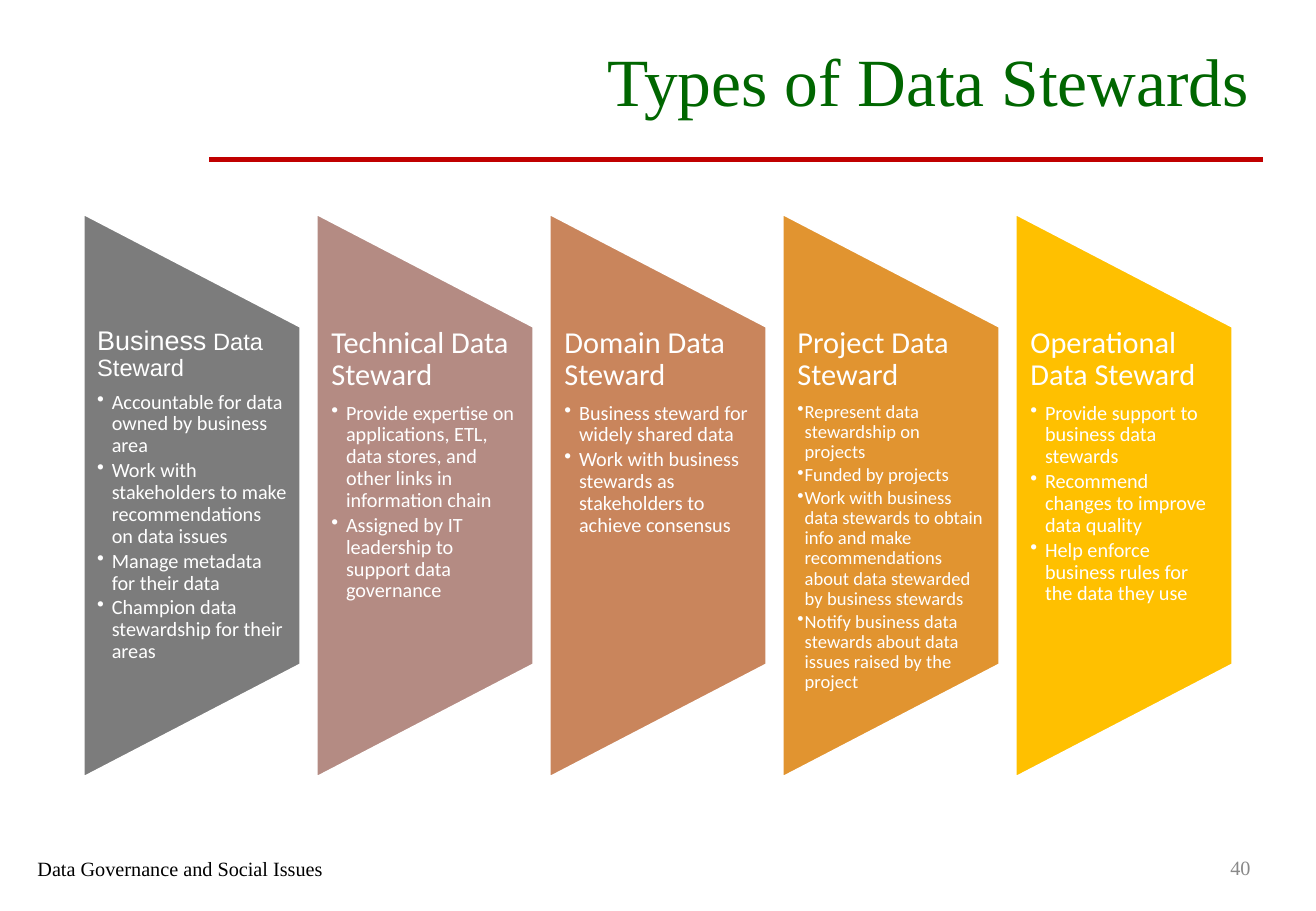
"""Build the slide on the five types of data stewards."""
from lxml import etree
from pptx import Presentation
from pptx import util as u
from pptx.dml.color import RGBColor
from pptx.enum import shapes, text
from pptx.oxml.ns import qn

THEME = {
    "title": {"size": u.Pt(40), "name": "Times New Roman", "color": "006600"},
    "number": {"size": u.Pt(12), "name": "Times New Roman", "color": "898989"},
    "footer": {"size": u.Pt(12), "name": "Times New Roman", "color": "000000"},
    "lead": {"size": u.Pt(16), "name": "Arial", "color": "FFFFFF"},
    "lead_small": {"size": u.Pt(14), "name": "Arial", "color": "FFFFFF"},
    "heading": {"size": u.Pt(18), "name": "Calibri", "color": "FFFFFF"},
    "bullet": {"size": u.Pt(12), "name": "Calibri", "color": "FFFFFF"},
    "bullet_small": {"size": u.Pt(11), "name": "Calibri", "color": "FFFFFF"},
    "rule": "C00000",
    "outline": "FFFFFF",
}

STEWARDS = [
    ("7C7C7C", [("Business", "lead"), (" Data Steward", "lead_small")], "bullet", 0.12, [
        "Accountable for data owned by business area",
        "Work with stakeholders to make recommendations on data issues",
        "Manage metadata for their data",
        "Champion data stewardship for their areas"]),
    ("B48B83", [("Technical Data Steward", "heading")], "bullet", 0.12, [
        "Provide expertise on applications, ETL, data stores, and other links in information chain",
        "Assigned by IT leadership to support data governance"]),
    ("C9855C", [("Domain Data Steward", "heading")], "bullet", 0.12, [
        "Business steward for widely shared data",
        "Work with business stewards as stakeholders to achieve consensus"]),
    ("E19430", [("Project Data Steward", "heading")], "bullet_small", 0.06, [
        "Represent data stewardship on projects",
        "Funded by projects",
        "Work with business data stewards to obtain info and make recommendations "
        "about data stewarded by business stewards",
        "Notify business data stewards about data issues raised by the project"]),
    ("FFC000", [("Operational Data Steward", "heading")], "bullet", 0.12, [
        "Provide support to business data stewards",
        "Recommend changes to improve data quality",
        "Help enforce business rules for the data they use"]),
]


def add_span(para, words, style):
    span = para.add_run()
    span.text = words
    for key, value in THEME[style].items():
        if key == "color":
            span.font.color.rgb = RGBColor.from_string(value)
        else:
            setattr(span.font, key, value)


def format_object(target, values):
    for key, value in values.items():
        setattr(target, key, value)


deck = Presentation()
format_object(deck, {"slide_width": u.Inches(10.83), "slide_height": u.Inches(7.5)})
page = deck.slides.add_slide(deck.slide_layouts[5])

rule = page.shapes.add_connector(
    shapes.MSO_CONNECTOR.STRAIGHT,
    u.Inches(10.39), u.Inches(1.31), u.Inches(1.72), u.Inches(1.31))
rule.line.color.rgb = RGBColor.from_string(THEME["rule"])
rule.line.width = u.Pt(3)
etree.SubElement(rule.line._get_or_add_ln().getparent(), qn("a:effectLst"))

title = page.shapes.title
number = page.shapes.add_textbox(0, 0, 0, 0)
footer = page.shapes.add_textbox(0, 0, 0, 0)
RIGHT, LEFT = text.PP_ALIGN.RIGHT, text.PP_ALIGN.LEFT
MIDDLE, TOP = text.MSO_ANCHOR.MIDDLE, text.MSO_ANCHOR.TOP
for box, place, words, style, align, anchor in [
    (title, (1.95, 0.16, 8.43, 0.99), "Types of Data Stewards", "title", RIGHT, MIDDLE),
    (number, (9.83, 6.94, 0.56, 0.4), "40", "number", RIGHT, MIDDLE),
    (footer, (0.21, 7, 2.68, 0.28), "Data Governance and Social Issues", "footer", LEFT, TOP),
]:
    format_object(box, dict(zip(("left", "top", "width", "height"), map(u.Inches, place))))
    format_object(box.text_frame, {
        "word_wrap": True, "vertical_anchor": anchor, "auto_size": text.MSO_AUTO_SIZE.NONE})
    para = box.text_frame.paragraphs[0]
    para.alignment = align
    add_span(para, words, style)

FIRST_LEFT, LAST_LEFT = 0.69, 8.36
PITCH = (LAST_LEFT - FIRST_LEFT) / (len(STEWARDS) - 1)
PANEL_WIDTH, PANEL_LENGTH, PANEL_MIDDLE = 1.78, 4.63, 4.08

for index, (color, heading, style, indent, duties) in enumerate(STEWARDS):
    left = FIRST_LEFT + index * PITCH
    panel = page.shapes.add_shape(
        shapes.MSO_SHAPE.FLOWCHART_MANUAL_OPERATION,
        u.Inches(left + (PANEL_WIDTH - PANEL_LENGTH) / 2),
        u.Inches(PANEL_MIDDLE - PANEL_WIDTH / 2),
        u.Inches(PANEL_LENGTH), u.Inches(PANEL_WIDTH))
    panel.rotation = 270
    panel.shadow.inherit = False
    panel.fill.solid()
    panel.fill.fore_color.rgb = RGBColor.from_string(color)
    panel.line.color.rgb = RGBColor.from_string(THEME["outline"])
    panel.line.width = u.Pt(1)

    box = page.shapes.add_textbox(
        u.Inches(left), u.Inches(2.69), u.Inches(PANEL_WIDTH), u.Inches(2.78))
    inset = u.Inches(0.11 if index == 0 else 0.12)
    format_object(box.text_frame, {
        "word_wrap": True, "vertical_anchor": TOP,
        "margin_left": inset, "margin_right": inset, "margin_top": 0, "margin_bottom": 0})
    para = box.text_frame.paragraphs[0]
    format_object(para, {"line_spacing": 0.9, "space_after": u.Pt(6)})
    for words, span_style in heading:
        add_span(para, words, span_style)
    for duty in duties:
        para = box.text_frame.add_paragraph()
        format_object(para, {"level": 1, "line_spacing": 0.9, "space_after": u.Pt(1.8)})
        properties = para._p.get_or_add_pPr()
        properties.set("marL", str(u.Inches(indent)))
        properties.set("indent", str(-u.Inches(indent)))
        etree.SubElement(properties, qn("a:buChar"), char="•")
        add_span(para, duty, style)

deck.save("out.pptx")
